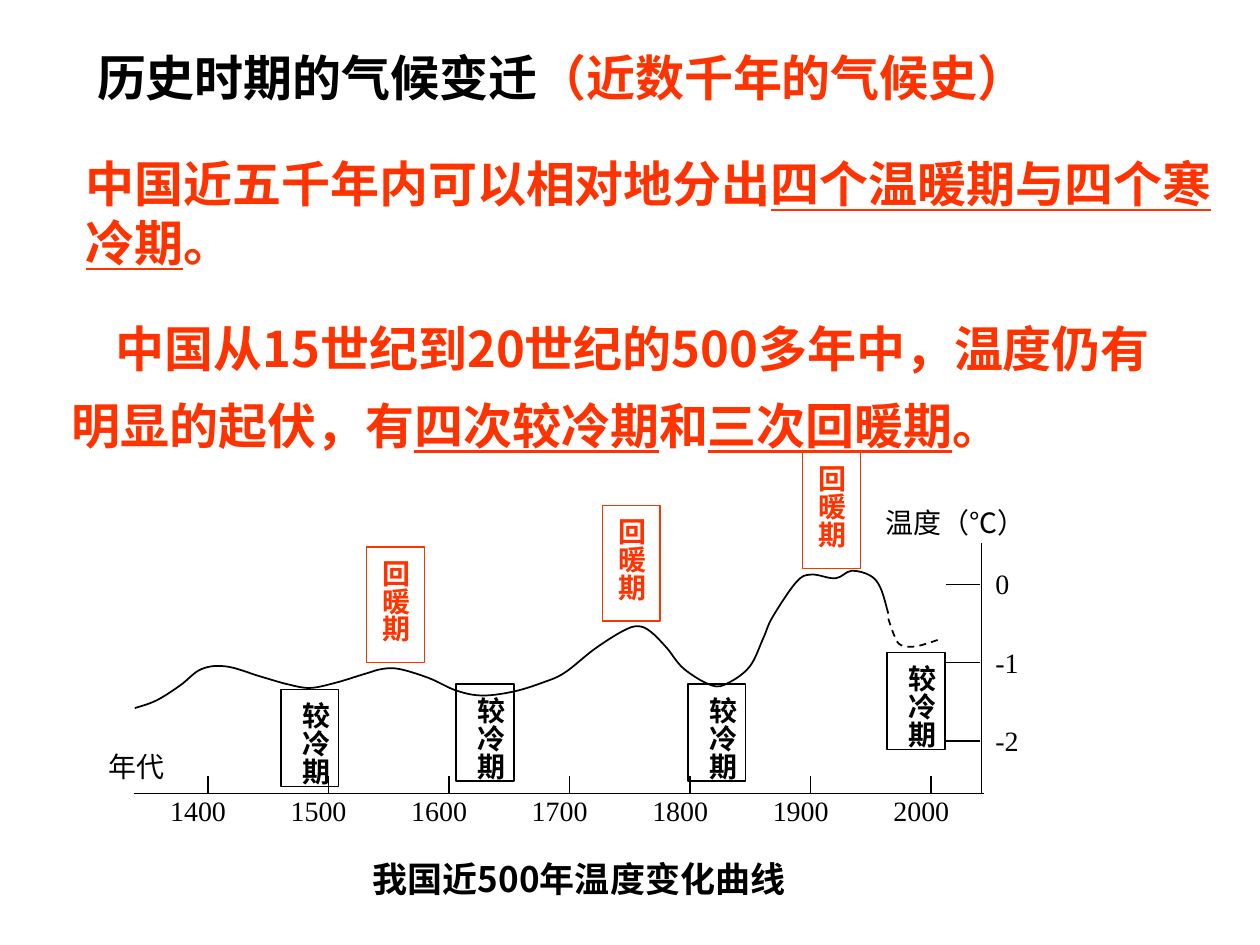
from lxml.etree import SubElement
from pptx import Presentation
from pptx.dml.color import RGBColor
from pptx.enum.dml import MSO_LINE_DASH_STYLE as Dash
from pptx.enum.shapes import MSO_CONNECTOR as Connector, MSO_SHAPE as Shape
from pptx.enum.text import MSO_ANCHOR as Anchor, MSO_AUTO_SIZE as AutoSize, PP_ALIGN as Align
from pptx.oxml.ns import qn
from pptx.util import Inches, Pt

COLORS = {"black": "000000", "red": "FF3300"}
HAN, LATIN = "Noto Sans CJK SC", "Times New Roman"

# Spans are (text, colour, underlined)
TITLE = [("历史时期的气候变迁", "black", False), ("（近数千年的气候史）", "red", False)]
FIVE_THOUSAND_YEARS = [
    ("中国近五千年内可以相对地分出", "red", False),
    ("四个温暖期与四个寒冷期", "red", True),
    ("。", "red", False),
]
FIVE_CENTURIES = [
    ("中国从15世纪到20世纪的500多年中，温度仍有明显的起伏，有", "red", False),
    ("四次较冷期", "red", True),
    ("和", "red", False),
    ("三次回暖期", "red", True),
    ("。", "red", False),
]
CAPTION = [("我国近500年温度变化曲线", "black", False)]

YEARS = range(1400, 2001, 100)
DEGREES = (0, -1, -2)
AXIS_LEFT, AXIS_RIGHT, AXIS_TOP, AXIS_BOTTOM = 1.06, 7.79, 4.31, 6.3
FIRST_YEAR_X, LAST_YEAR_X = 1.65, 7.39
YEAR_STEP = (LAST_YEAR_X - FIRST_YEAR_X) / (len(YEARS) - 1)
ZERO_Y, DEGREE_STEP = 4.64, 0.62
AXIS_TITLES = [("温度（℃）", 7.03, 4.01, 1.37), ("年代", 0.86, 5.95, 0.69)]

WARM_SPOTS = [(2.91, 4.34), (4.78, 4.01), (6.37, 3.59)]
COLD_SPOTS = [(2.23, 5.47), (3.62, 5.43), (5.46, 5.43), (7.04, 5.18)]

MEASURED = [
    (1.07, 5.62), (1.24, 5.56), (1.43, 5.44), (1.6, 5.31), (1.8, 5.29), (2.07, 5.37),
    (2.28, 5.43), (2.46, 5.46), (2.66, 5.42), (2.89, 5.35), (3.03, 5.31), (3.17, 5.31),
    (3.4, 5.38), (3.62, 5.48), (3.82, 5.52), (4.07, 5.49), (4.3, 5.42), (4.48, 5.34),
    (4.72, 5.15), (4.94, 5.01), (5.06, 4.97), (5.16, 5.01), (5.29, 5.14), (5.43, 5.31),
    (5.65, 5.44), (5.78, 5.42), (5.95, 5.29), (6.06, 5.06), (6.13, 4.9), (6.32, 4.62),
    (6.44, 4.56), (6.63, 4.59), (6.76, 4.53), (6.91, 4.57), (6.99, 4.67), (7.05, 4.87),
]
FORECAST = [(7.05, 4.91), (7.1, 5.05), (7.15, 5.12), (7.27, 5.13), (7.47, 5.07)]
UNITS_PER_INCH = 1000

deck = Presentation()
deck.slide_width, deck.slide_height = Inches(10), Inches(7.5)
page = deck.slides.add_slide(deck.slide_layouts[3])


def color(name):
    return RGBColor.from_string(COLORS[name])


def place(box, left, top, width, height):
    box.left, box.top, box.width, box.height = map(Inches, (left, top, width, height))


def write(box, spans, size, font=HAN, bold=True, align=Align.LEFT, margins=(0.1, 0.05),
          anchor=Anchor.TOP, wrap=True, fit=AutoSize.SHAPE_TO_FIT_TEXT):
    frame = box.text_frame
    frame.auto_size, frame.word_wrap = fit, wrap
    frame.vertical_anchor = anchor
    frame.margin_left = frame.margin_right = Inches(margins[0])
    frame.margin_top = frame.margin_bottom = Inches(margins[1])
    para = frame.paragraphs[0]
    para.alignment = align
    for text, tint, underlined in spans:
        span = para.add_run()
        span.text = text
        span.font.size, span.font.bold, span.font.underline = Pt(size), bold, underlined
        span.font.color.rgb = color(tint)
        span.font.name = font
        SubElement(span.font._element, qn("a:ea"), typeface=HAN)
    return para


def plain_paragraph(para, indent, spacing):
    """Turn a bulleted template paragraph into running text."""
    properties = para._p.get_or_add_pPr()
    properties.set("marL", "0")
    properties.set("indent", str(Inches(indent)))
    SubElement(properties, qn("a:buNone"))
    para.space_before, para.line_spacing = Pt(0), spacing


def label(text, left, top, width):
    box = page.shapes.add_textbox(*map(Inches, (left, top, width, 0.3)))
    write(box, [(text, "black", False)], 16, LATIN, False, Align.JUSTIFY, (0, 0),
          fit=AutoSize.NONE)


def rule(x1, y1, x2, y2):
    line = page.shapes.add_connector(Connector.STRAIGHT, *map(Inches, (x1, y1, x2, y2)))
    line.line.color.rgb, line.line.width = color("black"), Pt(0.75)
    SubElement(line._element.spPr, qn("a:effectLst"))


def bend(outline):
    """Replace the straight segments of a freeform by Catmull-Rom Bezier curves."""
    points = list(outline.iter(qn("a:pt")))
    knots = [(int(point.get("x")), int(point.get("y"))) for point in points]
    padded = [knots[0], *knots, knots[-1]]
    for index, point in enumerate(points[1:]):
        before, start, end, after = padded[index:index + 4]
        leave = [s + (e - b) / 6 for b, s, e in zip(before, start, end)]
        arrive = [e - (a - s) / 6 for s, e, a in zip(start, end, after)]
        segment = point.getparent()
        bezier = segment.makeelement(qn("a:cubicBezTo"))
        for x, y in (leave, arrive, end):
            SubElement(bezier, qn("a:pt"), x=str(round(x)), y=str(round(y)))
        segment.getparent().replace(segment, bezier)


def curve(knots, dash=None):
    points = [(round(x * UNITS_PER_INCH), round(y * UNITS_PER_INCH)) for x, y in knots]
    builder = page.shapes.build_freeform(*points[0], scale=Inches(1) / UNITS_PER_INCH)
    builder.add_line_segments(points[1:], close=False)
    line = builder.convert_to_shape()
    bend(line._element.spPr)
    line.shadow.inherit = False
    line.fill.background()
    line.line.color.rgb, line.line.width = color("black"), Pt(1)
    if dash:
        line.line.dash_style = dash


def period(text, tint, left, top, height, anchor, wrap):
    box = page.shapes.add_shape(Shape.RECTANGLE, *map(Inches, (left, top, 0.46, height)))
    box.shadow.inherit = False
    box.fill.background()
    box.line.color.rgb, box.line.width = color(tint), Pt(0.75)
    write(box, [(text, tint, False)], 16, LATIN, margins=(0.05, 0.1), anchor=anchor, wrap=wrap)
    box.text_frame._txBody.bodyPr.set("vert", "eaVert")


title, overview, detail = page.placeholders
place(title, 0.67, 0.33, 8.08, 0.57)
write(title, TITLE, 28)
place(overview, 0.58, 1.17, 9.17, 1.04)
plain_paragraph(write(overview, FIVE_THOUSAND_YEARS, 28), 0, 1)
place(detail, 0.47, 2.34, 8.92, 1.32)
plain_paragraph(write(detail, FIVE_CENTURIES, 28), 0.35, 1.3)

rule(AXIS_LEFT, AXIS_BOTTOM, AXIS_RIGHT + 0.02, AXIS_BOTTOM)
rule(AXIS_RIGHT, AXIS_BOTTOM, AXIS_RIGHT, AXIS_TOP)
for column, year in enumerate(YEARS):
    x = FIRST_YEAR_X + column * YEAR_STEP
    rule(x, AXIS_BOTTOM - 0.14, x, AXIS_BOTTOM)
    label(str(year), x - 0.3, AXIS_BOTTOM, 0.68)
for row, degree in enumerate(DEGREES):
    y = ZERO_Y + row * DEGREE_STEP
    rule(AXIS_RIGHT - 0.01, y, AXIS_RIGHT - 0.28, y)
    label(str(degree), AXIS_RIGHT + 0.11, y - 0.14, 0.38)
for axis_title in AXIS_TITLES:
    label(*axis_title)

curve(MEASURED)
curve(FORECAST, Dash.DASH)

caption = page.shapes.add_textbox(*map(Inches, (2.86, 6.76, 3.5, 0.77)))
write(caption, CAPTION, 20)

for left, top in WARM_SPOTS:
    period("回暖期", "red", left, top, 0.92, Anchor.MIDDLE, True)
for left, top in COLD_SPOTS:
    period("较冷期", "black", left, top, 0.77, Anchor.TOP, False)

deck.save("out.pptx")
